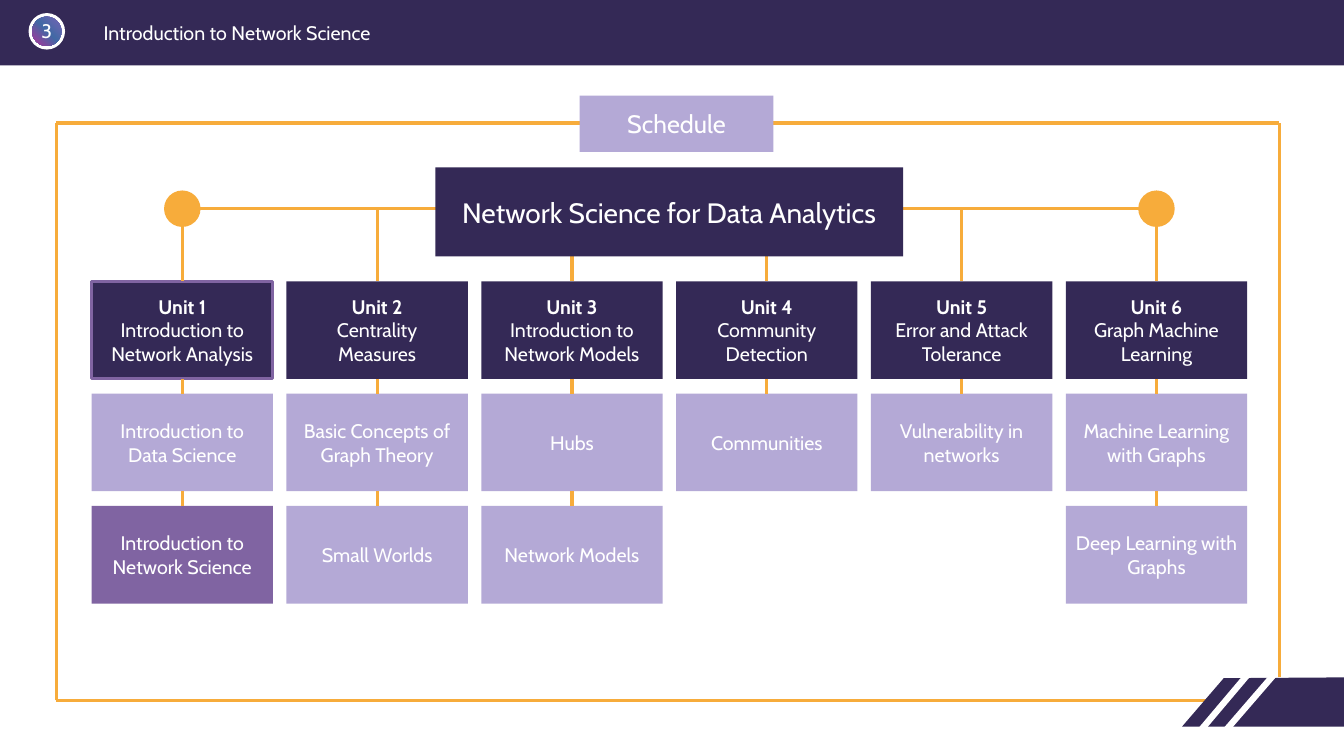
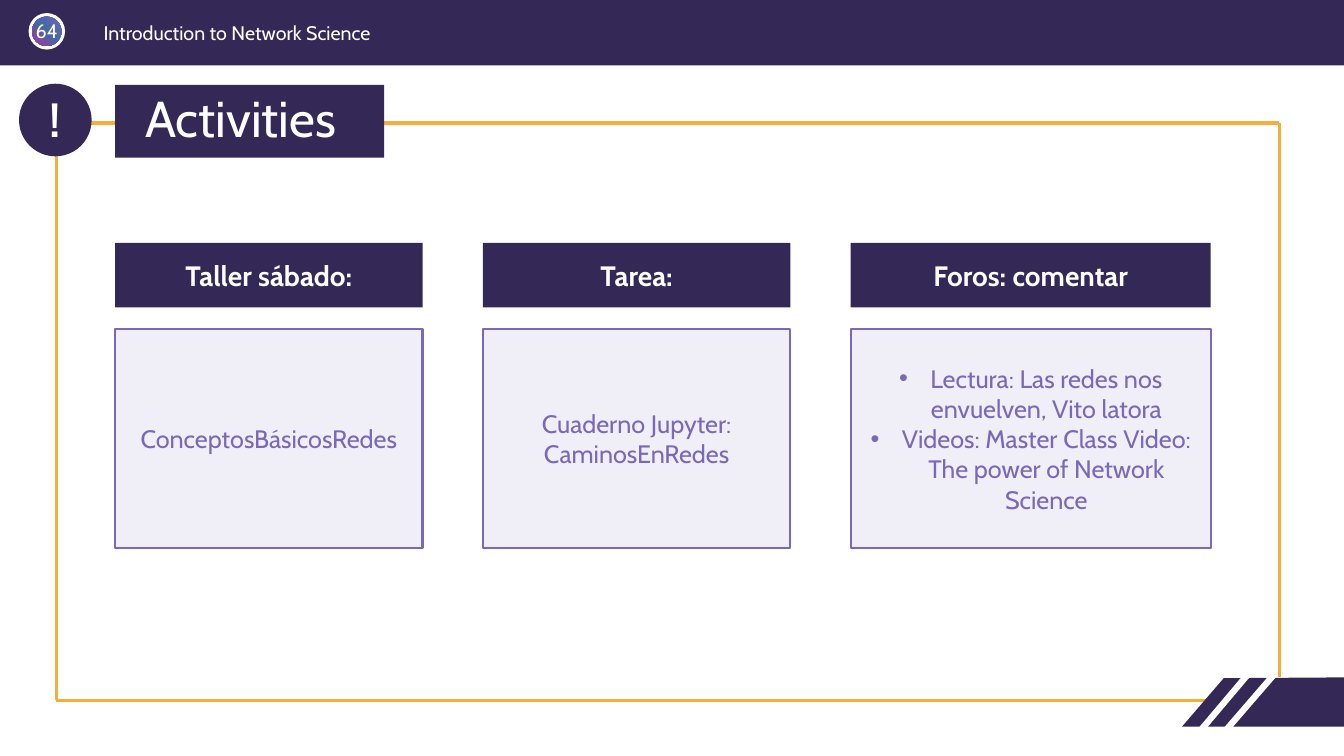
"""Build two course slides: the schedule and the activities."""
from dataclasses import dataclass

from pptx import Presentation
from pptx.dml.color import RGBColor
from pptx.enum.shapes import MSO_CONNECTOR, MSO_SHAPE
from pptx.enum.text import MSO_ANCHOR, MSO_AUTO_SIZE, PP_ALIGN
from pptx.oxml import parse_xml
from pptx.oxml.ns import nsdecls, qn
from pptx.oxml.xmlchemy import OxmlElement
from pptx.util import Cm, Pt


@dataclass(frozen=True)
class Theme:
    """Colours, font and type sizes of the deck."""
    font: str = "Cabin"
    navy: str = "342956"
    lilac: str = "B4A9D6"
    plum: str = "8064A2"
    violet: str = "7B68B7"
    mist: str = "F0EEF7"
    orange: str = "F7AC3B"
    white: str = "FFFFFF"
    badge: tuple = ((0, "7864B5"), (49, "4269A5"), (100, "B2329A"))
    small: int = 14
    medium: int = 18
    large: int = 20
    mark: int = 32
    headline: int = 36
    rule: float = 2.25


THEME = Theme()
WIDTH, HEIGHT = 33.87, 19.05
COURSE = "Introduction to Network Science"
BAR_HEIGHT = 1.65
BADGE_LEFT, BADGE_TOP, BADGE_SIZE = 0.72, 0.33, 0.92
FRAME_LEFT, FRAME_TOP, FRAME_RIGHT, FRAME_BOTTOM = 1.42, 3.1, 32.24, 17.65

UNIT_LEFT, UNIT_TOP, UNIT_WIDTH, UNIT_HEIGHT = 2.31, 7.09, 4.57, 2.46
COLUMN_STEP, ROW_STEP = 4.91, 2.83
BRANCH_Y, KNOB_SIZE = 5.26, 0.92
UNITS = (
    (("Unit 1", "Introduction to Network Analysis"),
     ("Introduction to", "Data Science"), (COURSE,)),
    (("Unit 2", "Centrality", "Measures"),
     ("Basic Concepts of Graph Theory",), ("Small Worlds",)),
    (("Unit 3", "Introduction to Network Models"),
     ("Hubs",), ("Network Models",)),
    (("Unit 4", "Community Detection"), ("Communities",)),
    (("Unit 5", "Error and Attack Tolerance"), ("Vulnerability in networks",)),
    (("Unit 6", "Graph Machine Learning"),
     ("Machine Learning with Graphs",), ("Deep Learning with Graphs",)),
)

CARD_LEFT, CARD_GAP = 2.9, 1.52
HEAD_TOP, HEAD_HEIGHT, CARD_TOP, CARD_HEIGHT = 6.12, 1.63, 8.28, 5.54
ACTIVITIES = (
    ("Taller sábado:", 7.75, ("ConceptosBásicosRedes",)),
    ("Tarea:", 7.75, ("Cuaderno Jupyter: CaminosEnRedes",)),
    ("Foros: comentar", 9.07,
     ("Lectura: Las redes nos envuelven, Vito latora",
      "Videos: Master Class Video: The power of Network Science")),
)


def color(code):
    """Turn a hex code into a colour."""
    return RGBColor.from_string(code)


def add_bullet(para):
    """Give a paragraph a round bullet with a hanging indent."""
    properties = para._p.get_or_add_pPr()
    properties.set("marL", str(Cm(0.79)))
    properties.set("indent", str(-Cm(0.79)))
    bullet = OxmlElement("a:buChar")
    bullet.set("char", "•")
    properties.append(bullet)


def write(box, lines, size=THEME.small, ink=THEME.white, bold=False,
          bold_first=False, align=PP_ALIGN.CENTER, anchor=MSO_ANCHOR.MIDDLE,
          bullets=False, spacing=None):
    """Fill a box with one paragraph per line."""
    frame = box.text_frame
    frame.word_wrap = True
    frame.auto_size = MSO_AUTO_SIZE.NONE
    frame.vertical_anchor = anchor
    for index, line in enumerate(lines):
        para = frame.paragraphs[0] if index == 0 else frame.add_paragraph()
        if bullets:
            add_bullet(para)
        para.alignment = align
        para.space_before = Pt(0)
        if spacing:
            para.line_spacing = spacing
        span = para.add_run()
        span.text = line
        span.font.name = THEME.font
        span.font.size = Pt(size)
        span.font.bold = bold or (bold_first and index == 0)
        span.font.color.rgb = color(ink)


def paint(box, fill, edge=None, weight=THEME.rule):
    """Give a shape a flat fill and an optional outline."""
    box.shadow.inherit = False
    box.fill.solid()
    box.fill.fore_color.rgb = color(fill)
    if edge:
        box.line.color.rgb = color(edge)
        box.line.width = Pt(weight)
    else:
        box.line.fill.background()


def place(box, left, top, width, height):
    """Move and size a placeholder in centimetres."""
    box.left, box.top = Cm(left), Cm(top)
    box.width, box.height = Cm(width), Cm(height)


def add_block(page, left, top, width, height, fill,
              kind=MSO_SHAPE.RECTANGLE, edge=None, weight=THEME.rule):
    """Add a flat preset shape."""
    box = page.shapes.add_shape(kind, Cm(left), Cm(top), Cm(width), Cm(height))
    paint(box, fill, edge, weight)
    return box


def add_label(page, left, top, width, height, text, inset=True, **style):
    """Add a one-line text box."""
    box = page.shapes.add_textbox(Cm(left), Cm(top), Cm(width), Cm(height))
    write(box, (text,), anchor=MSO_ANCHOR.TOP, **style)
    if not inset:
        frame = box.text_frame
        frame.margin_left = frame.margin_right = Cm(0)
        frame.margin_top = frame.margin_bottom = Cm(0)


def add_rule(page, start=(0, 0), end=(0, 0), ink=THEME.orange,
             weight=THEME.rule, begin_at=None, end_at=None):
    """Add a straight line between points or (shape, site) pairs."""
    rule = page.shapes.add_connector(
        MSO_CONNECTOR.STRAIGHT, *(Cm(value) for value in (*start, *end)))
    rule.line.color.rgb = color(ink)
    rule.line.width = Pt(weight)
    rule.element.spPr.append(OxmlElement("a:effectLst"))
    if begin_at:
        rule.begin_connect(*begin_at)
    if end_at:
        rule.end_connect(*end_at)


def add_gradient(box, stops, angle):
    """Replace the solid fill of a shape by a linear gradient."""
    marks = "".join(
        f'<a:gs pos="{position * 1000}"><a:srgbClr val="{code}"/></a:gs>'
        for position, code in stops)
    gradient = parse_xml(
        f'<a:gradFill {nsdecls("a")}><a:gsLst>{marks}</a:gsLst>'
        f'<a:lin ang="{angle * 60000}" scaled="0"/></a:gradFill>')
    properties = box.element.spPr
    properties.replace(properties.find(qn("a:solidFill")), gradient)


def add_corner(page):
    """Draw the striped wedge at the lower right."""
    points = ((30.84, 17.09), (WIDTH, 17.07), (WIDTH, 18.31), (29.79, 18.31))
    corners = [(Cm(x), Cm(y)) for x, y in points]
    builder = page.shapes.build_freeform(*corners[0], scale=1.0)
    builder.add_line_segments(corners[1:], close=True)
    paint(builder.convert_to_shape(), THEME.navy)
    for start, end in (((30.1, 18.59), (31.62, 16.79)),
                       ((30.73, 18.59), (32.13, 16.97))):
        add_rule(page, start, end, THEME.white, 4.5)


def draw_backdrop(page):
    """Draw the band, badge, frame and corner that all slides share."""
    add_block(page, 0, 0, WIDTH, BAR_HEIGHT, THEME.navy)
    add_block(page, BADGE_LEFT, BADGE_TOP, BADGE_SIZE, BADGE_SIZE,
              THEME.white, MSO_SHAPE.OVAL)
    disc = add_block(page, BADGE_LEFT + 0.09, BADGE_TOP + 0.09,
                     BADGE_SIZE - 0.18, BADGE_SIZE - 0.18,
                     THEME.violet, MSO_SHAPE.OVAL)
    add_gradient(disc, THEME.badge, 135)
    add_label(page, 2.36, 0.41, 14.25, 0.76, COURSE, align=PP_ALIGN.LEFT)
    top_left, top_right = (FRAME_LEFT, FRAME_TOP), (FRAME_RIGHT, FRAME_TOP)
    bottom_left = (FRAME_LEFT, FRAME_BOTTOM)
    add_rule(page, (FRAME_RIGHT, 17.07), top_right)
    add_rule(page, bottom_left, top_left)
    add_rule(page, bottom_left, (30.84, FRAME_BOTTOM))
    add_corner(page)
    add_rule(page, top_left, top_right)


def prepare_layout(layout, page):
    """Move the backdrop drawn on a page into its layout."""
    for holder in list(layout.placeholders):
        if holder.placeholder_format.idx >= 10:
            holder.element.getparent().remove(holder.element)
    place(layout.placeholders[0], 2.9, 2.14, 28, 1.83)
    place(layout.placeholders[1], 2.9, 6.12, 28, 10)
    draw_backdrop(page)
    tree = layout.placeholders[0].element.getparent()
    for box in list(page.shapes):
        if not box.is_placeholder:
            tree.append(box.element)


def add_number(page, number):
    """Write the slide number in the badge."""
    add_label(page, BADGE_LEFT, 0.48, BADGE_SIZE, 0.61, number, inset=False)


def add_unit(page, column, topics):
    """Add one column of linked cards and return its top card."""
    cards = []
    for row, lines in enumerate(topics):
        current = column == 0 and row == 2
        fill = THEME.navy if row == 0 else THEME.plum if current else THEME.lilac
        card = add_block(page, UNIT_LEFT + column * COLUMN_STEP,
                         UNIT_TOP + row * ROW_STEP, UNIT_WIDTH, UNIT_HEIGHT,
                         fill, edge=THEME.plum if column + row == 0 else None)
        write(card, lines, bold_first=row == 0)
        if cards:
            add_rule(page, begin_at=(cards[-1], 2), end_at=(card, 0))
        cards.append(card)
    return cards[0]


def build_schedule(page):
    """Fill the schedule slide."""
    add_number(page, "3")
    title, body = page.placeholders
    body.element.getparent().remove(body.element)
    place(title, 14.61, 2.41, 4.88, 1.42)
    paint(title, THEME.lilac)
    write(title, ("Schedule",), size=THEME.medium)
    centers = [UNIT_LEFT + UNIT_WIDTH / 2 + column * COLUMN_STEP
               for column in range(len(UNITS))]
    ends = (centers[0], centers[-1])
    add_rule(page, *((x, BRANCH_Y) for x in ends))
    for x in ends:
        add_block(page, x - KNOB_SIZE / 2, BRANCH_Y - KNOB_SIZE / 2,
                  KNOB_SIZE, KNOB_SIZE, THEME.orange, MSO_SHAPE.OVAL)
    for column, topics in enumerate(UNITS):
        head = add_unit(page, column, topics)
        add_rule(page, (centers[column], BRANCH_Y), end_at=(head, 0))
    root = add_block(page, 10.97, 4.22, 11.79, 2.24, THEME.navy)
    write(root, ("Network Science for Data Analytics",), size=THEME.large)


def build_activities(page):
    """Fill the activities slide."""
    add_number(page, "64")
    title, body = page.placeholders
    place(title, CARD_LEFT, 2.14, 6.78, 1.83)
    paint(title, THEME.navy)
    write(title, ("Activities",), size=THEME.headline, align=PP_ALIGN.LEFT,
          spacing=0.9)
    title.text_frame.margin_left = Cm(0.76)
    mark = add_block(page, 0.48, 2.11, 1.83, 1.83, THEME.navy, MSO_SHAPE.OVAL)
    write(mark, ("!",), size=THEME.mark, bold=True)
    left = CARD_LEFT
    for heading, width, lines in ACTIVITIES:
        head = add_block(page, left, HEAD_TOP, width, HEAD_HEIGHT, THEME.navy)
        write(head, (heading,), size=THEME.large, bold=True)
        area = (left, CARD_TOP, width, CARD_HEIGHT)
        is_list = len(lines) > 1
        if is_list:
            card = body
            place(card, *area)
            paint(card, THEME.mist, THEME.violet, 1.5)
        else:
            card = add_block(page, *area, THEME.mist, edge=THEME.violet,
                             weight=1.5)
        write(card, lines, size=THEME.medium, ink=THEME.violet, bullets=is_list)
        left += width + CARD_GAP


def main():
    """Build and save the deck."""
    deck = Presentation()
    deck.slide_width, deck.slide_height = Cm(WIDTH), Cm(HEIGHT)
    layout = deck.slide_layouts[1]
    schedule = deck.slides.add_slide(layout)
    prepare_layout(layout, schedule)
    build_schedule(schedule)
    build_activities(deck.slides.add_slide(layout))
    deck.save("out.pptx")


if __name__ == "__main__":
    main()
